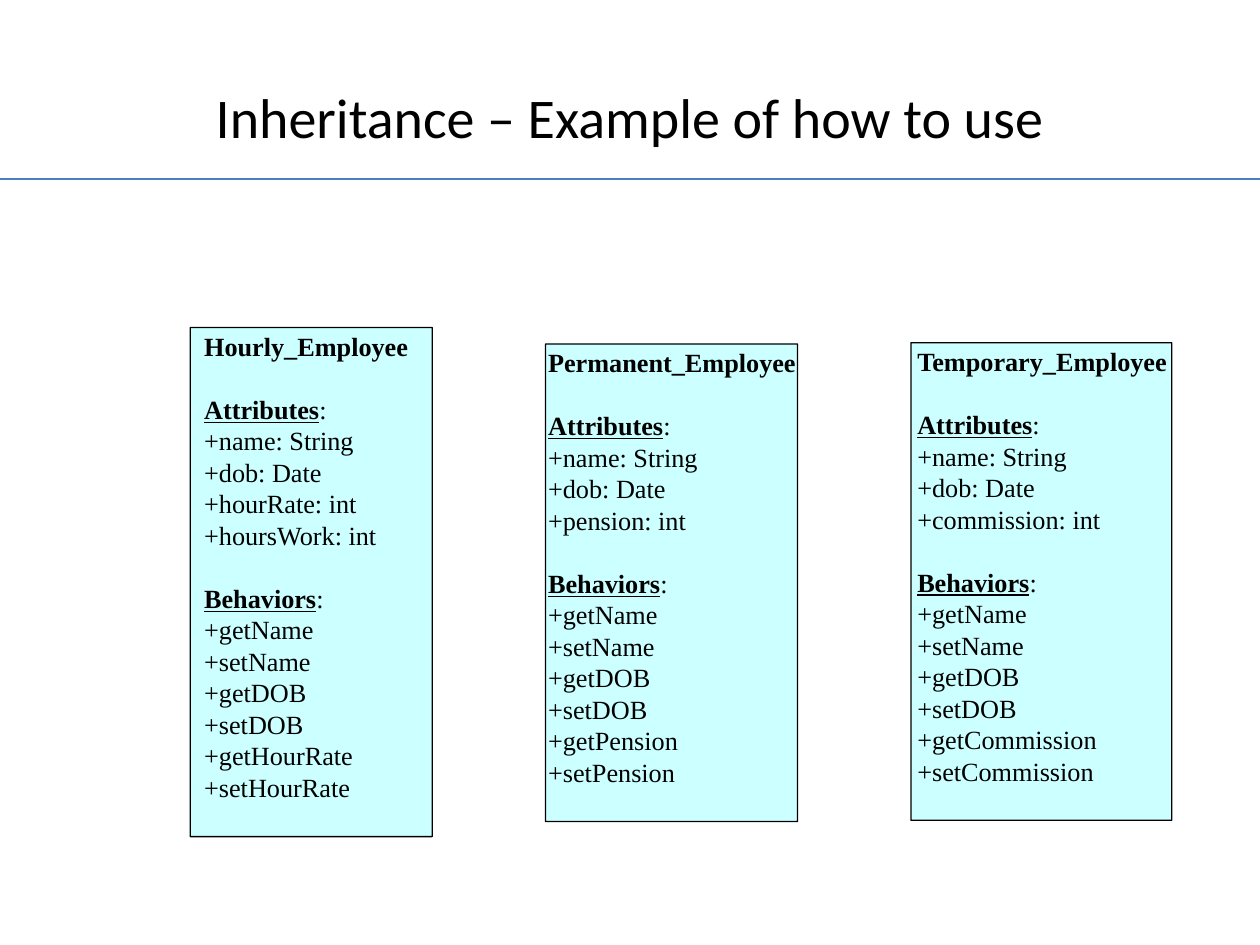
import pptx
import pptx.util
import pptx.dml.color
import pptx.enum.shapes
import pptx.enum.text
import pptx.oxml.ns
import lxml.etree

Inches, Pt = pptx.util.Inches, pptx.util.Pt
Color = pptx.dml.color.RGBColor.from_string

theme = {
    "ink": Color("000000"),
    "box": Color("CCFFFF"),
    "rule": Color("4B7EBC"),
    "title": {"name": "Calibri", "size": Pt(32)},
    "body": {"name": "Times New Roman", "size": Pt(15)},
    "pitch": Pt(18),
    "line": Pt(0.75),
}


def add_run(paragraph, text, style, **emphasis):
    run = paragraph.add_run()
    run.text = text
    for key, value in {**theme[style], **emphasis}.items():
        setattr(run.font, key, value)
    run.font.color.rgb = theme["ink"]


deck = pptx.Presentation()
deck.slide_width, deck.slide_height = Inches(10), Inches(7.5)
slide = deck.slides.add_slide(deck.slide_layouts[5])

# Rule under the heading
rule = slide.shapes.add_connector(
    pptx.enum.shapes.MSO_CONNECTOR.STRAIGHT,
    Inches(0), Inches(1.42), Inches(10), Inches(1.42))
rule.line.color.rgb = theme["rule"]
rule.line.width = theme["line"]
lxml.etree.SubElement(rule._element.spPr, pptx.oxml.ns.qn("a:effectLst"))

# Heading
heading = slide.shapes.title
heading.left, heading.top = Inches(0.5), Inches(0.3)
heading.width, heading.height = Inches(9), Inches(1.25)
heading.text_frame.vertical_anchor = pptx.enum.text.MSO_ANCHOR.MIDDLE
heading_line = heading.text_frame.paragraphs[0]
heading_line.alignment = pptx.enum.text.PP_ALIGN.CENTER
add_run(heading_line, "Inheritance – Example of how to use", "title")

# Classes: name, (left, top, width, height), text indent, own attributes, own field
shared_attributes = ["name: String", "dob: Date"]
shared_behaviors = ["getName", "setName", "getDOB", "setDOB"]
classes = [
    ("Hourly_Employee", (1.51, 2.6, 1.92, 4.04), 0.11,
     ["hourRate: int", "hoursWork: int"], "HourRate"),
    ("Permanent_Employee", (4.33, 2.73, 2, 3.79), 0.02,
     ["pension: int"], "Pension"),
    ("Temporary_Employee", (7.23, 2.72, 2.07, 3.79), 0.05,
     ["commission: int"], "Commission"),
]

for name, bounds, indent, own_attributes, field in classes:
    class_box = slide.shapes.add_shape(
        pptx.enum.shapes.MSO_SHAPE.ROUNDED_RECTANGLE, *map(Inches, bounds))
    class_box.adjustments[0] = 0.001
    class_box.shadow.inherit = False
    class_box.fill.solid()
    class_box.fill.fore_color.rgb = theme["box"]
    class_box.line.color.rgb = theme["ink"]
    class_box.line.width = theme["line"]

    members = class_box.text_frame
    frame_format = {
        "word_wrap": True,
        "vertical_anchor": pptx.enum.text.MSO_ANCHOR.TOP,
        "margin_left": Inches(indent),
        "margin_top": Inches(0.02),
        "margin_right": 0,
        "margin_bottom": 0,
    }
    for key, value in frame_format.items():
        setattr(members, key, value)

    class_name = members.paragraphs[0]
    add_run(class_name, name, "body", bold=True)

    # Sections: underlined heading, then one line per member
    sections = {
        "Attributes": shared_attributes + own_attributes,
        "Behaviors": shared_behaviors + ["get" + field, "set" + field],
    }
    for section, entries in sections.items():
        section_line = members.add_paragraph()
        section_line.space_before = theme["pitch"]
        add_run(section_line, section, "body", bold=True, underline=True)
        add_run(section_line, ":", "body")
        for entry in entries:
            add_run(members.add_paragraph(), "+" + entry, "body")

    for paragraph in members.paragraphs:
        paragraph.alignment = pptx.enum.text.PP_ALIGN.LEFT
        paragraph.line_spacing = theme["pitch"]

deck.save("out.pptx")
